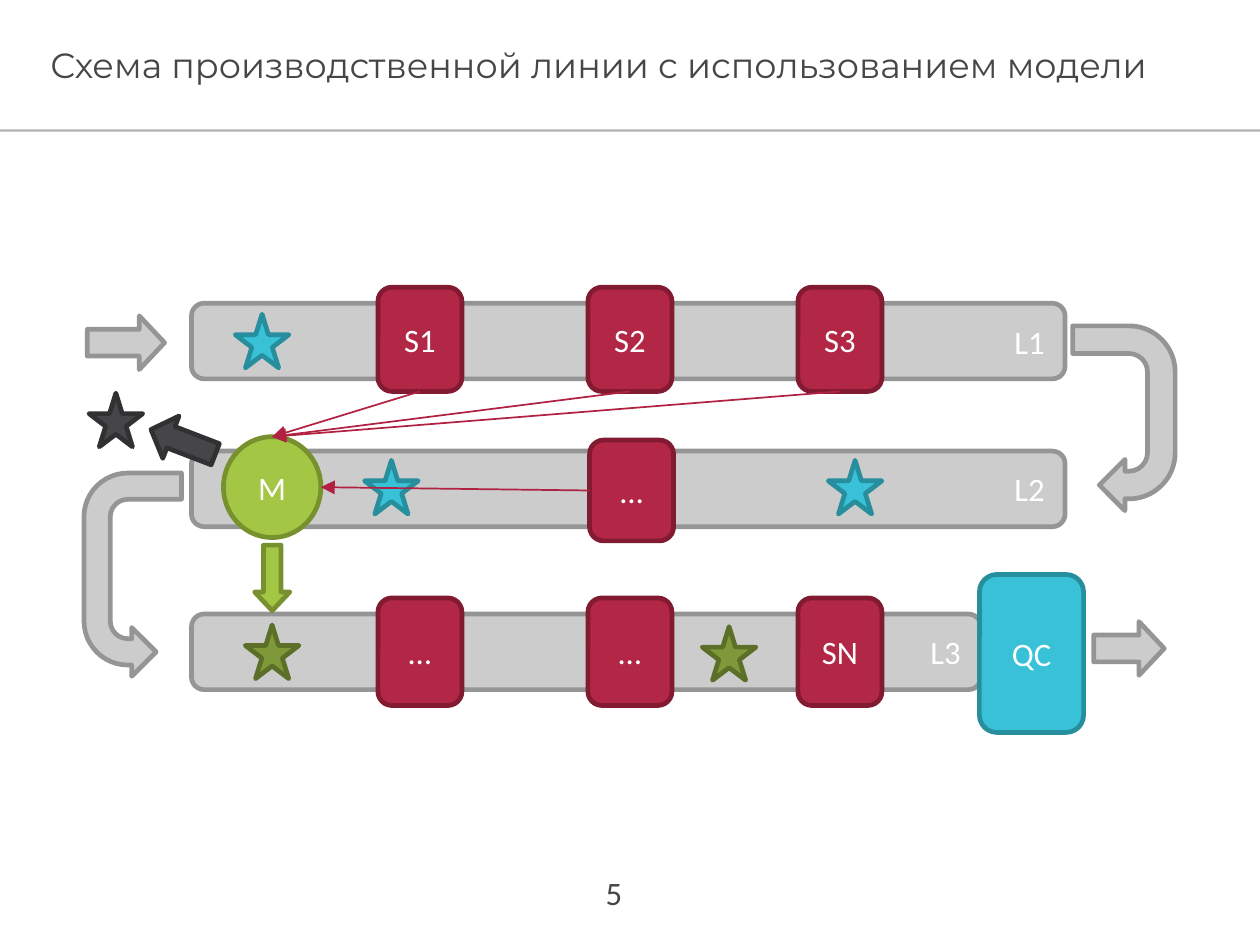
from lxml import etree
from pptx import Presentation
from pptx import util as u
from pptx.dml.color import RGBColor
from pptx.enum import shapes, text
from pptx.oxml import parse_xml
from pptx.oxml.ns import nsdecls, qn

WIDTH = 7.5
HEIGHT = WIDTH * 3 / 4
COLUMNS = [2.5 + 1.25 * column for column in range(3)]
BELT_ROWS = [2.03, 2.91, 3.88]
STATION_ROWS = [2.02, 2.92, 3.88]
BELT_LEFT, BELT_HEIGHT = 1.14, 0.45
STATION_WIDTH, STAR = 0.5, 0.32
MODEL_X, MODEL_Y, MODEL_WIDTH, MODEL_HEIGHT = 1.62, 2.9, 0.58, 0.6

COLORS = {"white": "FFFFFF", "ink": "464547", "signal": "B12242"}
STYLES = {  # fill and outline
    "belt": ("CCCCCC", "959595"),
    "station": ("B22746", "821A31"),
    "item": ("39C2D7", "278E9E"),
    "model": ("A3C644", "77912F"),
    "good": ("7F993A", "5C6F28"),
    "reject": ("464547", "313032"),
}
KIND = shapes.MSO_SHAPE
ALIGN = text.PP_ALIGN

presentation = Presentation()
presentation.slide_width = u.Inches(WIDTH)
presentation.slide_height = u.Inches(HEIGHT)
slide = presentation.slides.add_slide(presentation.slide_layouts[5])


def add_part(kind, x, y, width, height, style, label="", align=ALIGN.CENTER,
             rotation=0, adjustments=()):
    """Add a styled shape centred on x, y, in inches."""
    shape = slide.shapes.add_shape(
        kind, u.Inches(x - width / 2), u.Inches(y - height / 2),
        u.Inches(width), u.Inches(height))
    shape.rotation = rotation
    for index, value in enumerate(adjustments):
        shape.adjustments[index] = value
    fill, outline = STYLES[style]
    shape.fill.solid()
    shape.fill.fore_color.rgb = RGBColor.from_string(fill)
    shape.line.color.rgb = RGBColor.from_string(outline)
    shape.line.width = u.Pt(2)
    shape.shadow.inherit = False
    if label:
        write(shape.text_frame, label, "Calibri", 14, "white", align)
    return shape


def write(frame, words, font, size, color, align):
    frame.word_wrap = True
    frame.vertical_anchor = text.MSO_ANCHOR.MIDDLE
    frame.text = words
    paragraph = frame.paragraphs[0]
    paragraph.alignment = align
    paragraph.font.name = font
    paragraph.font.size = u.Pt(size)
    paragraph.font.color.rgb = RGBColor.from_string(COLORS[color])


# Title band with a thin shadow along its lower edge
title = slide.shapes.title
title.left, title.top = 0, 0
title.width, title.height = presentation.slide_width, u.Inches(0.77)
title.fill.solid()
title.fill.fore_color.rgb = RGBColor.from_string(COLORS["white"])
title.shadow.inherit = False
title._element.spPr.find(qn("a:effectLst")).append(parse_xml(
    f'<a:outerShdw {nsdecls("a")} dist="12700" dir="5400000" rotWithShape="0">'
    '<a:srgbClr val="000000"><a:alpha val="30000"/></a:srgbClr></a:outerShdw>'))
write(title.text_frame, "Схема производственной линии с использованием модели",
      "Montserrat", 15, "ink", ALIGN.LEFT)
title.text_frame.auto_size = text.MSO_AUTO_SIZE.NONE
title.text_frame.margin_left = u.Inches(0.3)
title.text_frame.margin_right = u.Inches(0.08)

# Belts
for label, y, width in zip(("L1", "L2", "L3"), BELT_ROWS, (5.2, 5.2, 4.7)):
    add_part(KIND.ROUNDED_RECTANGLE, BELT_LEFT + width / 2, y, width,
             BELT_HEIGHT, "belt", label, ALIGN.RIGHT)

# Stations
stations = [
    (0, 0, 0.62, "S1"), (1, 0, 0.62, "S2"), (2, 0, 0.62, "S3"),
    (1, 1, 0.6, "…"),
    (0, 2, 0.64, "…"), (1, 2, 0.64, "…"), (2, 2, 0.64, "SN"),
]
for column, row, height, label in stations:
    x = COLUMNS[column] + (0.01 if row == 1 else 0)
    add_part(KIND.ROUNDED_RECTANGLE, x, STATION_ROWS[row],
             STATION_WIDTH, height, "station", label)

# Belt turns, entry and exit
bend = (0.27, 0.27, 0.25, 0.45, 0.74)
add_part(KIND.U_TURN_ARROW, 6.69, 2.49, 1.1, 0.61, "belt",
         rotation=90, adjustments=bend)
left_turn = add_part(KIND.U_TURN_ARROW, 0.79, 3.42, 1.21, 0.58, "belt",
                     rotation=90, adjustments=bend)
left_turn._element.spPr.xfrm.set("flipV", "1")
for x, y, width in ((0.75, 2.04, 0.46), (6.72, 3.86, 0.42)):
    add_part(KIND.RIGHT_ARROW, x, y, width, 0.32, "belt",
             adjustments=(0.5, 0.47))

# Items, quality control and model
add_part(KIND.STAR_5_POINT, 2.33, 2.9, STAR, STAR, "item")
add_part(KIND.ROUNDED_RECTANGLE, 6.14, 3.89, 0.62, 0.94, "item", "QC")
add_part(KIND.OVAL, MODEL_X, MODEL_Y, MODEL_WIDTH, MODEL_HEIGHT, "model", "M")
for x, y, style in ((MODEL_X, 3.88, "good"), (0.69, 2.5, "reject"),
                    (1.56, 2.03, "item"), (5.09, 2.9, "item"),
                    (4.34, 3.89, "good")):
    add_part(KIND.STAR_5_POINT, x, y, STAR, STAR, style)
add_part(KIND.RIGHT_ARROW, 1.09, 2.63, 0.41, 0.27, "reject",
         rotation=201, adjustments=(0.5, 0.47))
add_part(KIND.RIGHT_ARROW, MODEL_X, 3.44, 0.39, 0.21, "model",
         rotation=90, adjustments=(0.5, 0.53))

# Slide number
number = slide.shapes.add_textbox(u.Inches(3.42), u.Inches(5.22),
                                  u.Inches(0.47), u.Inches(0.19))
write(number.text_frame, "5", "Calibri", 14, "ink", ALIGN.CENTER)

# Signals from the stations to the model
model_top = (MODEL_X, MODEL_Y - MODEL_HEIGHT / 2)
model_right = (MODEL_X + MODEL_WIDTH / 2, MODEL_Y)
signals = [((x, 2.33), model_top) for x in COLUMNS]
signals.append(((3.51, STATION_ROWS[1]), model_right))
for start, end in signals:
    signal = slide.shapes.add_connector(
        shapes.MSO_CONNECTOR.STRAIGHT,
        *(u.Inches(length) for length in start + end))
    signal.line.color.rgb = RGBColor.from_string(COLORS["signal"])
    signal.line.width = u.Pt(0.75)
    etree.SubElement(signal.line._get_or_add_ln(), qn("a:tailEnd"),
                     type="triangle")
    etree.SubElement(signal._element.spPr, qn("a:effectLst"))

presentation.save("out.pptx")
